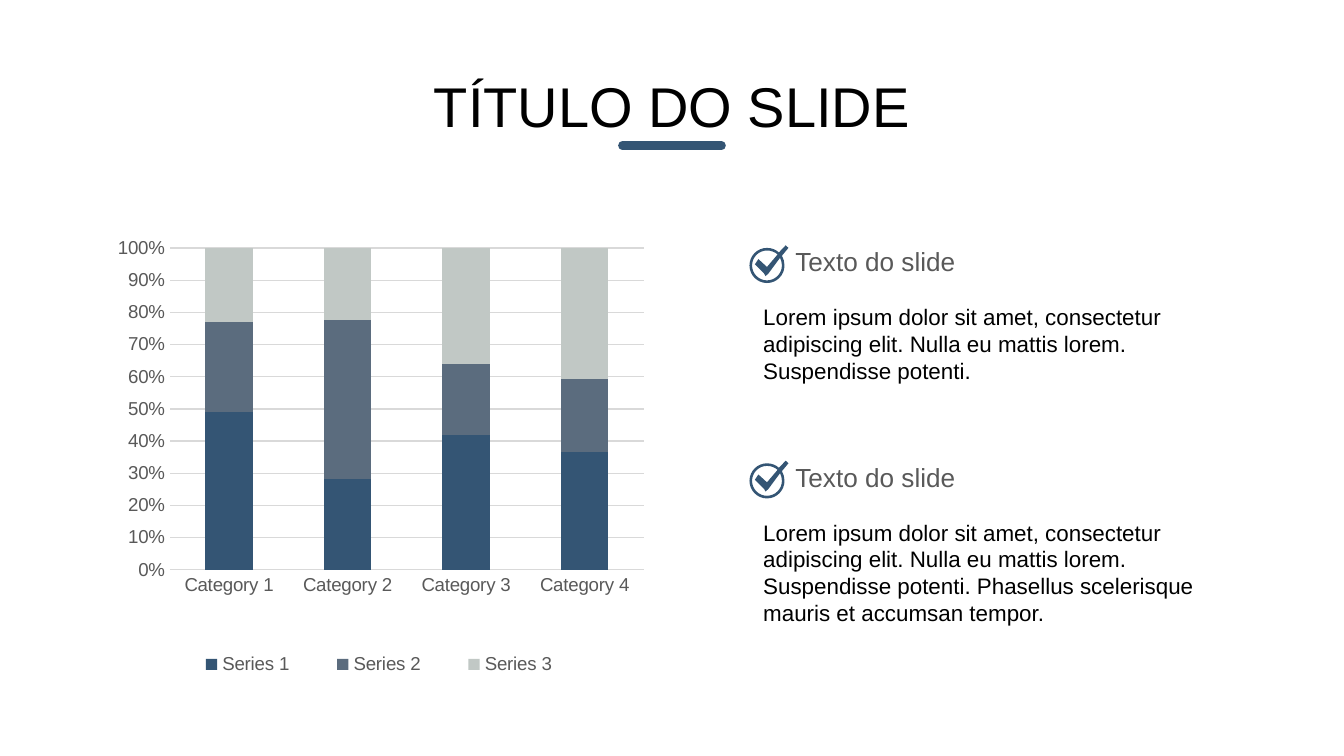
from lxml import etree
from pptx import Presentation
from pptx.chart.data import CategoryChartData
from pptx.dml.color import RGBColor
from pptx.enum.chart import XL_CHART_TYPE, XL_LEGEND_POSITION, XL_TICK_MARK
from pptx.enum.text import MSO_ANCHOR, PP_ALIGN
from pptx.oxml import parse_xml
from pptx.oxml.ns import nsdecls, qn
from pptx.util import Pt

STACKED = XL_CHART_TYPE.COLUMN_STACKED_100
BOTTOM = XL_LEGEND_POSITION.BOTTOM
NO_TICK = XL_TICK_MARK.NONE
MIDDLE, TOP = MSO_ANCHOR.MIDDLE, MSO_ANCHOR.TOP
CENTER, LEFT = PP_ALIGN.CENTER, PP_ALIGN.LEFT
STRAIGHT = 1

FONT = "Arial"
COLORS = {
    "navy": "345574", "slate": "5B6C7E", "silver": "C1C8C5",
    "grid": "D9D9D9", "gray": "595959", "black": "000000",
}

TITLE = "TÍTULO DO SLIDE"
CATEGORIES = ["Category 1", "Category 2", "Category 3", "Category 4"]
SERIES = [
    ("Series 1", (49, 28, 42, 37), "navy"),
    ("Series 2", (28, 49, 22, 23), "slate"),
    ("Series 3", (23, 22, 36, 41), "silver"),
]
# Heading, body, top of the topic, height of the body
TOPICS = [
    ("Texto do slide",
     "Lorem ipsum dolor sit amet, consectetur adipiscing elit. Nulla eu mattis "
     "lorem. Suspendisse potenti.", 131, 51.1),
    ("Texto do slide",
     "Lorem ipsum dolor sit amet, consectetur adipiscing elit. Nulla eu mattis "
     "lorem. Suspendisse potenti. Phasellus scelerisque mauris et accumsan "
     "tempor.", 246.4, 65.5),
]
TOPIC_LEFT = 401.8

# Fractions of the chart frame
PLOT_PLACE = {"x": 0.134, "y": 0.044, "w": 0.83, "h": 0.694}
LEGEND_PLACE = {"x": 0.124, "y": 0.895, "w": 0.752, "h": 0.094}

# Each step holds one point for a line, or two handles and a point for a curve
CHECK_ICON = [
    [[(20.9, 1.4)], [(19.4, 0)], [(15.8, 3.8)],
     [(14.1, 2.3), (11.9, 1.4), (9.4, 1.4)],
     [(4.2, 1.4), (0, 5.6), (0, 10.8)],
     [(0, 16), (4.2, 20.2), (9.4, 20.2)],
     [(14.6, 20.2), (18.8, 16), (18.8, 10.8)],
     [(18.8, 8.9), (18.3, 7.1), (17.4, 5.6)]],
    [[(17.4, 10.8)],
     [(17.4, 15.2), (13.8, 18.8), (9.4, 18.8)],
     [(5, 18.8), (1.4, 15.2), (1.4, 10.8)],
     [(1.4, 6.4), (5, 2.8), (9.4, 2.8)],
     [(11.6, 2.8), (13.6, 3.6), (15.1, 4.9)],
     [(9.4, 11.6)], [(4.8, 7.4)], [(2.9, 10.2)], [(7.9, 15.2)],
     [(8.6, 16.5)], [(10.1, 15.2)], [(16.4, 6.7)],
     [(17, 7.9), (17.4, 9.3), (17.4, 10.8)]],
]


def color(name):
    return RGBColor.from_string(COLORS[name])


def style_font(font, size, name):
    font.name, font.size = FONT, Pt(size)
    font.color.rgb = color(name)


def fill_text(box, text, size, name, anchor=TOP, align=LEFT):
    frame = box.text_frame
    frame.word_wrap = True
    frame.vertical_anchor = anchor
    para = frame.paragraphs[0]
    para.text = text
    para.alignment = align
    style_font(para.font, size, name)


def add_title(page):
    title = page.shapes.title
    title.left, title.top = Pt(190.8), Pt(34.6)
    title.width, title.height = Pt(338.4), Pt(43.9)
    fill_text(title, TITLE, 30, "black", MIDDLE, CENTER)

    rule = page.shapes.add_connector(STRAIGHT, Pt(333.4), Pt(78), Pt(386.6), Pt(78))
    rule.line.color.rgb = color("navy")
    rule.line.width = Pt(4.5)
    properties = rule._element.spPr
    properties.find(qn("a:ln")).set("cap", "rnd")
    etree.SubElement(properties, qn("a:effectLst"))


def place_part(part, fractions, index, target=""):
    """Give a chart part a fixed layout, as its child at the index."""
    for old in part.findall(qn("c:layout")):
        part.remove(old)
    places = "".join(f'<c:{key} val="{value}"/>' for key, value in fractions.items())
    part.insert(index, parse_xml(
        f'<c:layout {nsdecls("c")}><c:manualLayout>{target}'
        f'<c:xMode val="edge"/><c:yMode val="edge"/>{places}'
        f'</c:manualLayout></c:layout>'))


def add_stacked_chart(page):
    data = CategoryChartData()
    data.categories = CATEGORIES
    for name, values, _ in SERIES:
        data.add_series(name, values)
    chart = page.shapes.add_chart(
        STACKED, Pt(50), Pt(122), Pt(306), Pt(248.4), data).chart
    chart.has_title = False
    style_font(chart.font, 10, "gray")

    plot = chart.plots[0]
    plot.gap_width, plot.overlap = 150, 100
    plot.vary_by_categories = False
    for series, (_, _, name) in zip(plot.series, SERIES):
        series.format.fill.solid()
        series.format.fill.fore_color.rgb = color(name)

    categories, values = chart.category_axis, chart.value_axis
    for axis in (categories, values):
        axis.major_tick_mark = axis.minor_tick_mark = NO_TICK
        style_font(axis.tick_labels.font, 10, "gray")
    values.minimum_scale, values.maximum_scale, values.major_unit = 0, 1, 0.1
    values.tick_labels.number_format = "0%"
    values.tick_labels.number_format_is_linked = False
    values.format.line.fill.background()
    values.has_major_gridlines = True
    for part in (categories, values.major_gridlines):
        part.format.line.color.rgb = color("grid")
        part.format.line.width = Pt(0.75)

    chart.has_legend = True
    chart.legend.position = BOTTOM
    chart.legend.include_in_layout = False
    style_font(chart.legend.font, 10, "gray")
    place_part(chart._chartSpace.chart.plotArea, PLOT_PLACE, 0,
               '<c:layoutTarget val="inner"/>')
    place_part(chart.legend._element, LEGEND_PLACE, 1)


def add_check_icon(group, left, top):
    contours = [[[(Pt(x), Pt(y)) for x, y in step] for step in contour]
                for contour in CHECK_ICON]
    ring, inside = ([step[-1] for step in contour] for contour in contours)
    builder = group.shapes.build_freeform(*ring[0])
    builder.add_line_segments(ring[1:])
    builder.move_to(*inside[0])
    builder.add_line_segments(inside[1:], close=False)
    icon = builder.convert_to_shape(Pt(left), Pt(top))

    # Line steps that carry handles become curves
    outline = icon._element.spPr.find(".//" + qn("a:path"))
    drawn = []
    for contour in contours:
        drawn += contour[1:]
        if contour is contours[0]:
            drawn.append(contour[0])
    lines = [line for line in outline if line.tag == qn("a:lnTo")]
    if len(lines) < len(drawn):
        drawn.remove(contours[0][0])
    for line, step in zip(lines, drawn):
        if len(step) == 3:
            line.tag  # keep the element, only its replacement is drawn
            curve = etree.Element(qn("a:cubicBezTo"))
            for x, y in step:
                etree.SubElement(curve, qn("a:pt"), x=str(x), y=str(y))
            outline.replace(line, curve)
    etree.SubElement(outline, qn("a:close"))

    icon.shadow.inherit = False
    icon.fill.solid()
    icon.fill.fore_color.rgb = color("navy")
    icon.line.fill.background()


def add_topic(page, heading, body, top, body_height):
    group = page.shapes.add_group_shape()
    add_check_icon(group, TOPIC_LEFT - 0.3, top + 0.4)
    head_box = group.shapes.add_textbox(
        Pt(TOPIC_LEFT + 17.2), Pt(top - 3), Pt(112.3), Pt(24.2))
    fill_text(head_box, heading, 14, "gray", MIDDLE)
    body_box = group.shapes.add_textbox(
        Pt(TOPIC_LEFT), Pt(top + 27.9), Pt(268.6), Pt(body_height))
    fill_text(body_box, body, 12, "black")


def main():
    deck = Presentation()
    deck.slide_width, deck.slide_height = Pt(720), Pt(405)
    page = deck.slides.add_slide(deck.slide_layouts[5])
    add_stacked_chart(page)
    add_title(page)
    for topic in TOPICS:
        add_topic(page, *topic)
    deck.save("out.pptx")


if __name__ == "__main__":
    main()
